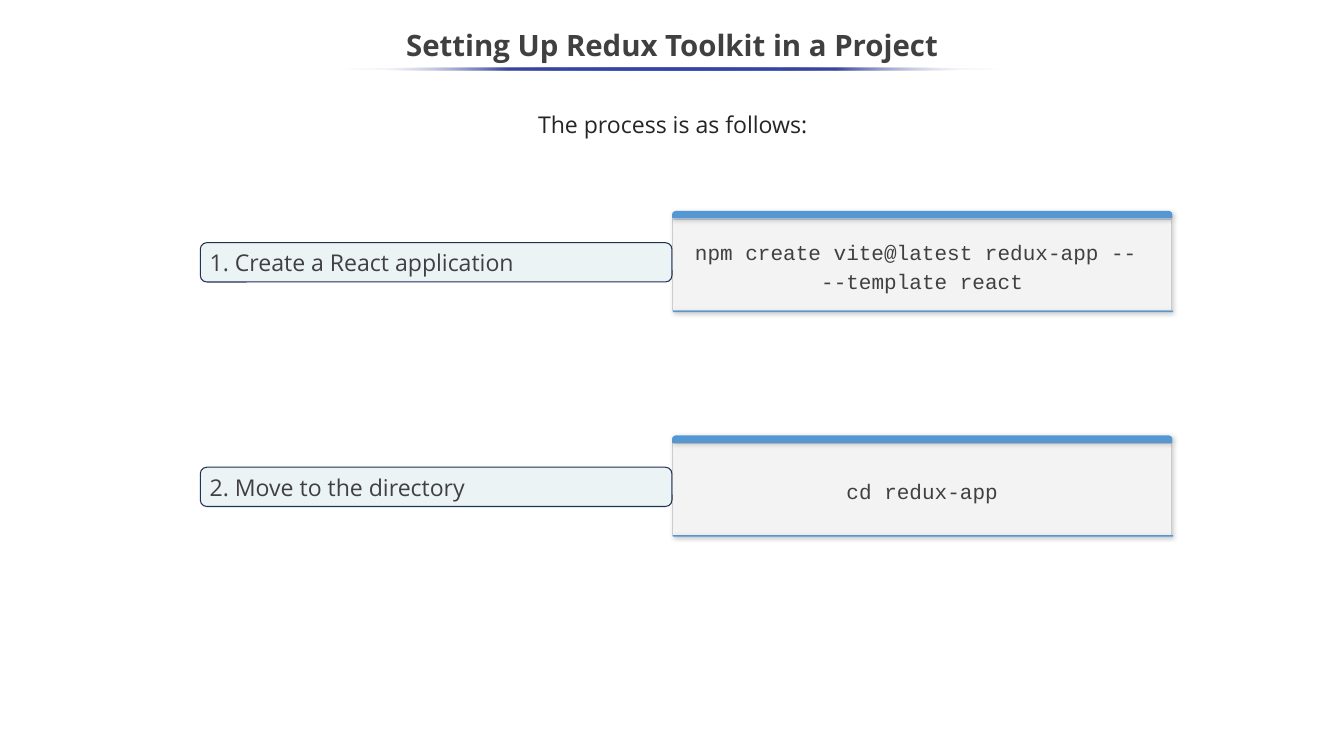
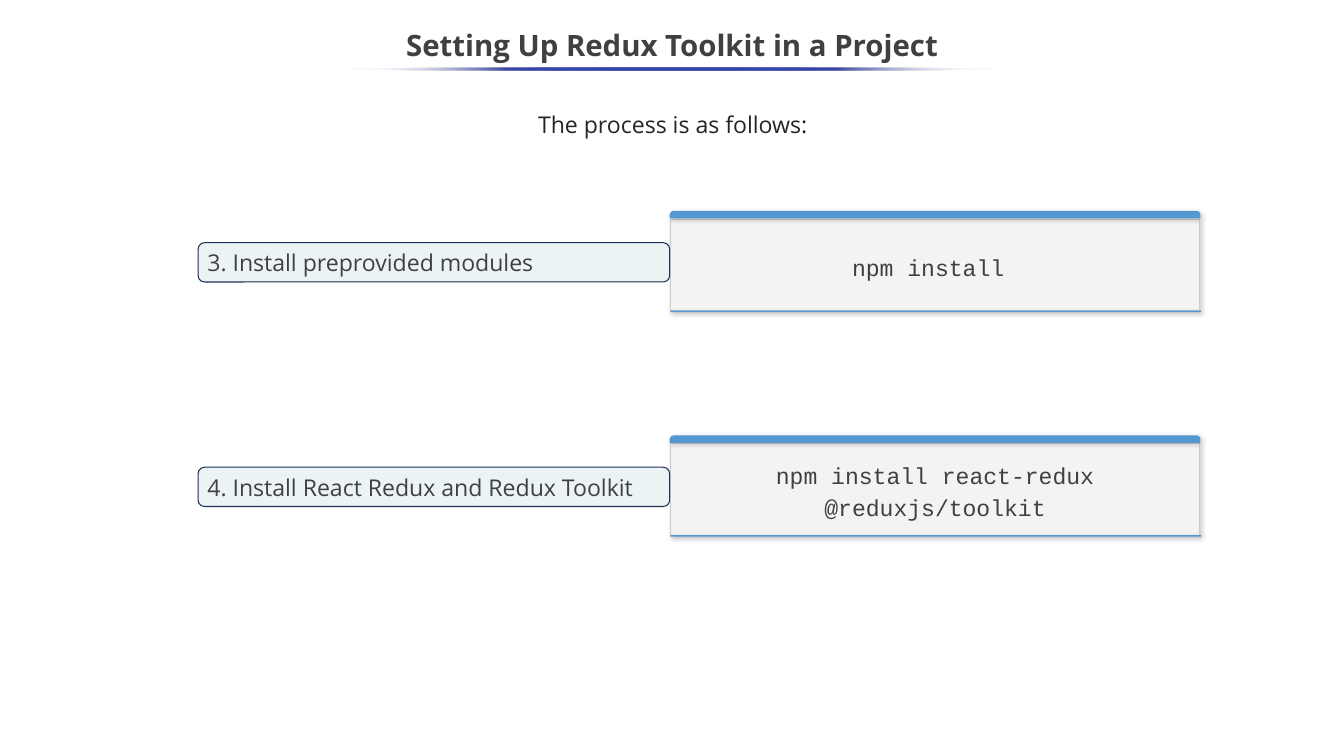
from pptx import Presentation
from pptx.dml.color import RGBColor
from pptx.enum.shapes import MSO_SHAPE as Shape
from pptx.enum.text import MSO_ANCHOR as Anchor, PP_ALIGN as Align
from pptx.oxml import parse_xml
from pptx.oxml.ns import nsdecls, qn
from pptx.util import Inches, Pt

# Shared colours and fonts
TITLE_GREY = RGBColor(0x40, 0x40, 0x40)
INTRO_GREY = RGBColor(0x25, 0x25, 0x25)
RULE_BLUE = RGBColor(0x36, 0x45, 0xA9)
WHITE = RGBColor(0xFF, 0xFF, 0xFF)
PANEL_GREY = RGBColor(0xF3, 0xF3, 0xF3)
PANEL_BORDER = RGBColor(0xCC, 0xCC, 0xCC)
EDGE_BLUE = RGBColor(0x54, 0x97, 0xD4)
BAND_BLUE = RGBColor(0x55, 0x97, 0xD3)
LABEL_FILL = RGBColor(0xEB, 0xF3, 0xF4)
LABEL_BORDER = RGBColor(0x1E, 0x32, 0x56)
TEXT_FONT, CODE_FONT = "Open Sans", "Courier New"

# Grid in inches
WIDTH, HEIGHT = 17.78, 10
FIRST_ROW, ROW_STEP = 2.79, 2.97
LABEL_WIDTH, LABEL_HEIGHT, LABEL_DROP = 6.24, 0.52, 0.42
BAND_HEIGHT, PANEL_DROP, PANEL_HEIGHT, EDGE_HEIGHT = 0.1, 0.11, 1.21, 0.02

# Each slide: label left, panel width, code size, steps
SLIDES = [
    (2.65, 6.62, 20, [
        ("1. Create a React application",
         "npm create vite@latest redux-app -- \v--template react"),
        ("2. Move to the directory", "cd redux-app"),
    ]),
    (2.62, 7.02, 22, [
        ("3. Install preprovided modules", "npm install "),
        ("4. Install React Redux and Redux Toolkit",
         "npm install react-redux @reduxjs/toolkit"),
    ]),
]


def write(shape, text, size=22, font=TEXT_FONT, color=TITLE_GREY, bold=False,
          align=Align.CENTER, anchor=Anchor.MIDDLE, spacing=1.0, inset=0.05):
    frame = shape.text_frame
    frame.word_wrap = True
    frame.vertical_anchor = anchor
    frame.margin_top = frame.margin_bottom = Inches(inset)
    paragraph = frame.paragraphs[0]
    paragraph.text = text
    paragraph.alignment = align
    paragraph.line_spacing = spacing
    for run in paragraph.runs:
        run.font.name = font
        run.font.size = Pt(size)
        run.font.bold = bold
        run.font.color.rgb = color


def add_block(shapes, kind, box, fill, line=None, line_width=0.75, shadow=False):
    shape = shapes.add_shape(kind, *map(Inches, box))
    shape.fill.solid()
    shape.fill.fore_color.rgb = fill
    if line is None:
        shape.line.fill.background()
    else:
        shape.line.color.rgb = line
        shape.line.width = Pt(line_width)
    shape.shadow.inherit = False
    if shadow:
        shape._element.spPr.find(qn("a:effectLst")).append(parse_xml(
            f'<a:outerShdw {nsdecls("a")} blurRad="{Pt(4.5)}" dist="{Pt(1.5)}" '
            f'dir="{47 * 60000}" algn="tl" rotWithShape="0"><a:srgbClr val="000000">'
            '<a:alpha val="20000"/></a:srgbClr></a:outerShdw>'))
    return shape


presentation = Presentation()
presentation.slide_width = Inches(WIDTH)
presentation.slide_height = Inches(HEIGHT)

for label_left, panel_width, code_size, steps in SLIDES:
    slide = presentation.slides.add_slide(presentation.slide_layouts[6])
    shapes = slide.shapes

    # Title and introduction
    title = shapes.add_textbox(0, Inches(0.25), Inches(WIDTH), Inches(0.75))
    write(title, "Setting Up Redux Toolkit in a Project", size=28, bold=True, spacing=0.9)
    intro = shapes.add_textbox(*map(Inches, (1.41, 1.4, 14.98, 0.41)))
    write(intro, "The process is as follows:", color=INTRO_GREY,
          anchor=Anchor.TOP, spacing=1.15, inset=0)

    # Title rule that fades out at both ends
    rule = add_block(shapes, Shape.OVAL, (4.56, 0.89, 8.65, 0.04), RULE_BLUE)
    rule.fill.gradient()
    rule.fill.gradient_angle = 0
    stops = "".join(
        f'<a:gs pos="{position * 1000}"><a:srgbClr val="{color}">'
        f'<a:alpha val="{alpha * 1000}"/></a:srgbClr></a:gs>'
        for position, color, alpha in [(0, WHITE, 0), (25, RULE_BLUE, 100),
                                       (50, RULE_BLUE, 100), (75, RULE_BLUE, 100),
                                       (100, WHITE, 0)])
    gradient = rule._element.spPr.find(qn("a:gradFill"))
    gradient.replace(gradient.find(qn("a:gsLst")),
                     parse_xml(f'<a:gsLst {nsdecls("a")}>{stops}</a:gsLst>'))

    panel_left = label_left + LABEL_WIDTH
    for row, (step, code) in enumerate(steps):
        top = FIRST_ROW + row * ROW_STEP
        panel_top = top + PANEL_DROP

        # Code panel with its bottom edge and top band
        group = shapes.add_group_shape().shapes
        panel = add_block(group, Shape.RECTANGLE,
                          (panel_left + 0.01, panel_top, panel_width - 0.02, PANEL_HEIGHT),
                          PANEL_GREY, PANEL_BORDER, shadow=True)
        write(panel, code, size=code_size, font=CODE_FONT, spacing=1.14, inset=0.1)
        add_block(group, Shape.RECTANGLE,
                  (panel_left + 0.01, panel_top + PANEL_HEIGHT, panel_width, EDGE_HEIGHT),
                  EDGE_BLUE, shadow=True)
        band = add_block(group, Shape.ROUND_2_SAME_RECTANGLE,
                         (panel_left, top, panel_width, BAND_HEIGHT),
                         BAND_BLUE, shadow=True)
        band.adjustments[0] = 0.5

        # Step label
        label = add_block(shapes, Shape.ROUNDED_RECTANGLE,
                          (label_left, top + LABEL_DROP, LABEL_WIDTH, LABEL_HEIGHT),
                          LABEL_FILL, LABEL_BORDER, line_width=1)
        write(label, step, align=Align.LEFT)

presentation.save("out.pptx")
